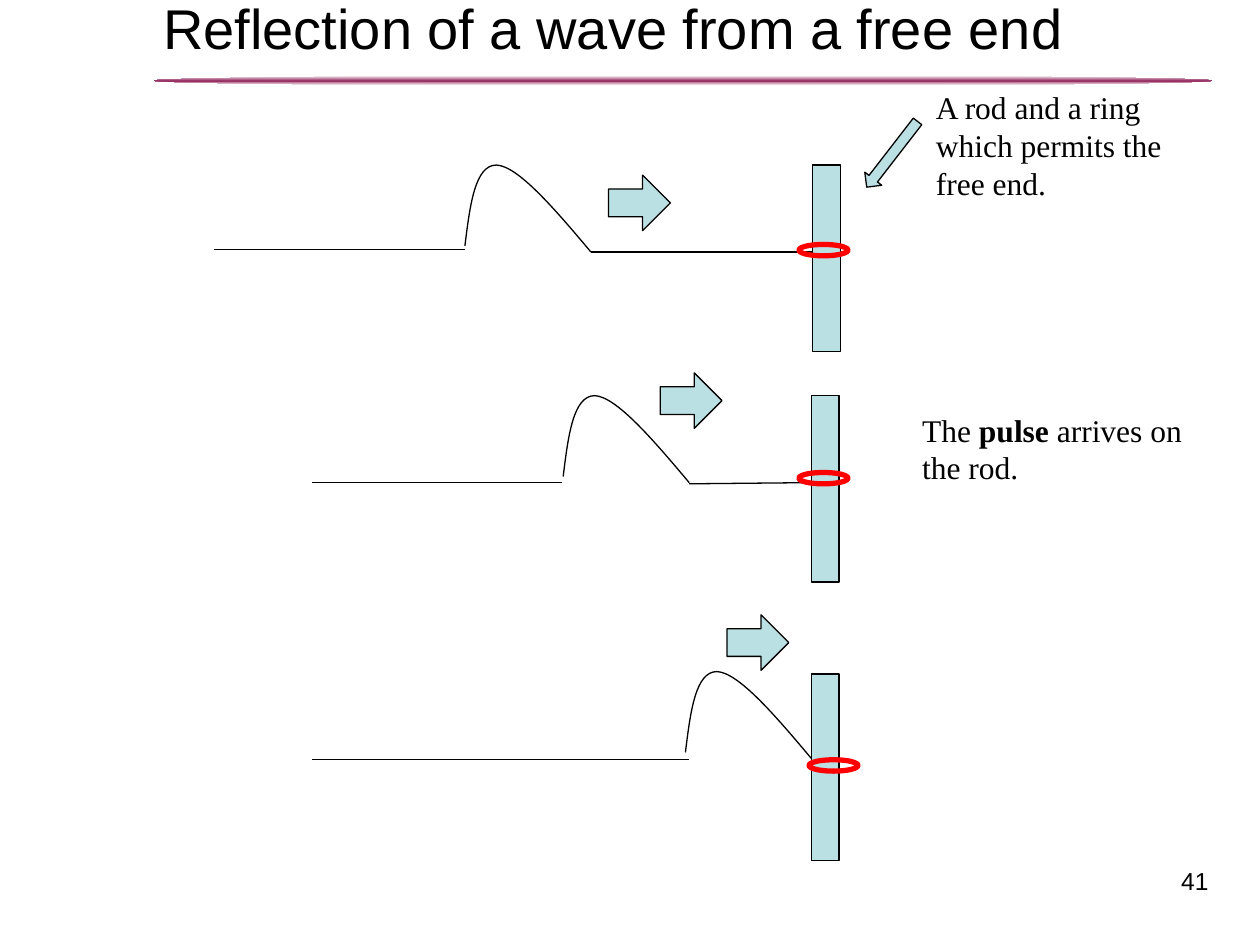
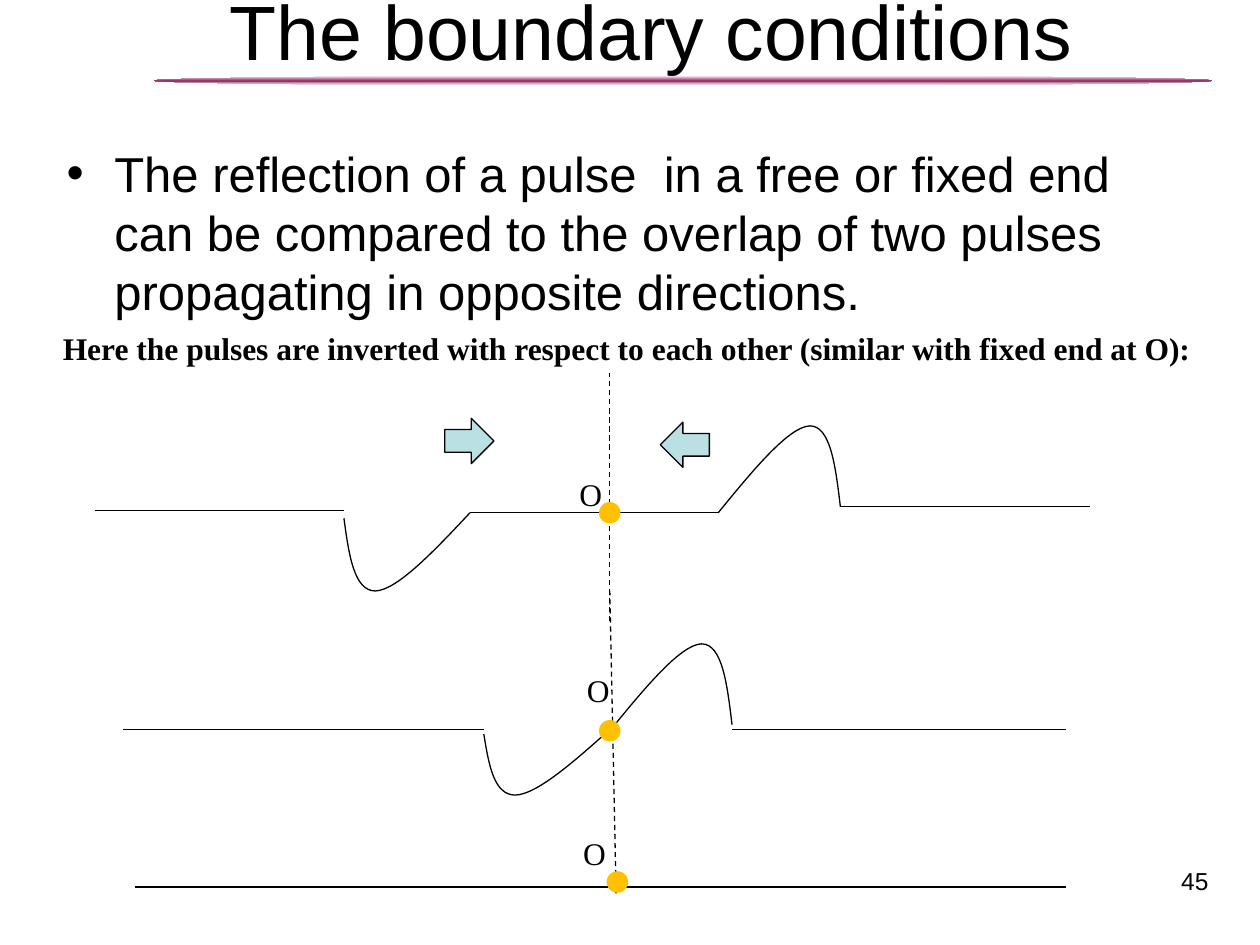
from copy import deepcopy
from pptx import Presentation
from pptx import util as u
from pptx.dml.color import RGBColor
from pptx.enum import dml, shapes, text
from pptx.oxml import ns
from lxml import etree

INK, BAND, PALE = "000000", "993366", "BBE0E3"
RED, GOLD, WHITE = "FF0000", "FFC000", "FFFFFF"
SANS, SERIF = "Arial", "Times New Roman"
KIND = shapes.MSO_SHAPE
ALIGN = text.PP_ALIGN
# Pulse in a unit box: a start, then three points for each Bezier arc
PULSE = [(0, 0.93), (0.04, 0.46), (0.08, 0), (0.25, 0),
         (0.42, 0.01), (0.71, 0.5), (1, 1)]


def rgb(code):
    return RGBColor.from_string(code)


def inches(*vals):
    return [u.Inches(v) for v in vals]


def paint(item, fill, line, width=0.75):
    item.shadow.inherit = False
    if fill:
        item.fill.solid()
        item.fill.fore_color.rgb = rgb(fill)
    else:
        item.fill.background()
    if line:
        item.line.color.rgb = rgb(line)
        item.line.width = u.Pt(width)
    else:
        item.line.fill.background()


def shape(slide, kind, box, fill=None, line=INK, width=0.75, turn=0):
    item = slide.shapes.add_shape(kind, *inches(*box))
    item.rotation = turn
    paint(item, fill, line, width)
    return item


def rule(slide, x1, y1, x2, y2, dash=False):
    item = slide.shapes.add_connector(
        shapes.MSO_CONNECTOR.STRAIGHT, *inches(x1, y1, x2, y2))
    item.line.color.rgb = rgb(INK)
    item.line.width = u.Pt(0.75)
    if dash:
        item.line.dash_style = dml.MSO_LINE.DASH
    etree.SubElement(item._element.spPr, ns.qn("a:effectLst"))


def words(slide, box, parts, size, font=SERIF, align=ALIGN.LEFT,
          wrap=True, bullet=False):
    """Write one paragraph; parts are (text, bold) pairs."""
    frame = slide.shapes.add_textbox(*inches(*box)).text_frame
    frame.word_wrap = wrap
    para = frame.paragraphs[0]
    para.alignment = align
    if bullet:
        props = para._p.get_or_add_pPr()
        props.set("marL", str(u.Inches(0.38)))
        props.set("indent", str(u.Inches(-0.38)))
        etree.SubElement(props, ns.qn("a:buFont")).set("typeface", font)
        etree.SubElement(props, ns.qn("a:buChar")).set("char", "•")
    for part, bold in parts:
        run = para.add_run()
        run.text = part
        run.font.name = font
        run.font.size = u.Pt(size)
        run.font.bold = bold
        run.font.color.rgb = rgb(INK)


def pulse(slide, x, y, w, h):
    """Draw a pulse from corner x, y; a negative w or h mirrors it."""
    spots = [tuple(inches(x + w * p, y + h * q)) for p, q in PULSE]
    pen = slide.shapes.build_freeform(*spots[0])
    pen.add_line_segments(spots[1:], close=False)
    item = pen.convert_to_shape()
    paint(item, None, INK)
    # Turn each three segments into one Bezier arc
    legs = item._element.spPr.findall(".//" + ns.qn("a:lnTo"))
    trail = legs[0].getparent()
    for i in range(0, len(legs), 3):
        arc = etree.SubElement(trail, ns.qn("a:cubicBezTo"))
        for leg in legs[i:i + 3]:
            arc.append(leg[0])
            trail.remove(leg)


def base(deck, title, box, size, number):
    """Add a slide with its band, page number and title."""
    slide = deck.slides.add_slide(deck.slide_layouts[6])
    band = shape(slide, KIND.OVAL, (1.22, 0.6, 8.4, 0.08), line=None)
    band.fill.gradient()
    band.fill.gradient_angle = 90
    stops = band._element.spPr.find(".//" + ns.qn("a:gsLst"))
    stops.insert(1, deepcopy(stops[0]))
    for i, (stop, code) in enumerate(
            zip(band.fill.gradient_stops, (WHITE, BAND, WHITE))):
        stop.position = i / 2
        stop.color.rgb = rgb(code)
    words(slide, (7.36, 6.82, 2.33, 0.45), [(number, False)], 14, SANS,
          ALIGN.RIGHT)
    words(slide, box, [(title, False)], size, SANS, ALIGN.CENTER)
    return slide


def stage(slide, top, crest, rest, ahead, rod, arrow, ring):
    """One moment of the pulse; rest and ahead are the flat strings."""
    if ahead:
        rule(slide, *ahead)
    shape(slide, KIND.RECTANGLE, (*rod, 0.22, 1.48), PALE)
    pulse(slide, crest, top, 1, 0.69)
    rule(slide, *rest)
    shape(slide, KIND.RIGHT_ARROW, (*arrow, 0.49, 0.44), PALE)
    shape(slide, KIND.OVAL, (*ring, 0.39, 0.09), None, RED, 3)


def free_end(deck):
    slide = base(deck, "Reflection of a wave from a free end",
                 (0.37, -0.1, 9, 1.25), 32, "41")
    stage(slide, 1.31, 3.69, (1.7, 1.98, 3.69, 1.98), (4.69, 2, 6.67, 2),
          (6.45, 1.31), (4.83, 1.39), (6.34, 1.94))
    stage(slide, 3.14, 4.47, (2.48, 3.83, 4.46, 3.83),
          (5.47, 3.84, 6.48, 3.83), (6.44, 3.14), (5.24, 2.96), (6.34, 3.75))
    stage(slide, 5.33, 5.44, (2.48, 6.03, 5.47, 6.03), None,
          (6.44, 5.35), (5.77, 4.88), (6.42, 6.03))
    # Notes beside the rods
    words(slide, (7.33, 0.65, 2, 1.01),
          [("A rod and a ring which permits the free end.", False)], 18)
    words(slide, (7.22, 3.21, 2.28, 0.71),
          [("The ", False), ("pulse", True),
           (" arrives on the rod.", False)], 18)
    shape(slide, KIND.RIGHT_ARROW, (6.75, 1.14, 0.66, 0.17), PALE, turn=127.7)


def bounds(deck):
    slide = base(deck, "The boundary conditions",
                 (0.67, -0.18, 9, 1.25), 44, "45")
    words(slide, (0.43, 1.09, 9, 4.95),
          [("The reflection of a pulse  in a free or fixed end can be "
            "compared to the overlap of two pulses propagating in "
            "opposite directions.", False)], 28, SANS, bullet=True)
    # Strings at rest
    for x1, x2, y in [(0.75, 2.73, 4.05), (3.73, 5.71, 4.07),
                      (6.67, 8.65, 4.02), (0.98, 3.84, 5.79),
                      (5.81, 8.46, 5.79), (1.07, 8.46, 7.04)]:
        rule(slide, x1, y, x2, y)
    # Axis through O
    rule(slide, 4.84, 4.93, 4.84, 2.96, True)
    rule(slide, 4.89, 7.09, 4.84, 4.69, True)
    # Inverted and mirrored pulses
    for box in [(2.73, 4.69, 1, -0.62), (6.67, 3.38, -0.97, 0.69),
                (3.84, 6.31, 1, -0.52), (5.81, 5.11, -0.97, 0.69)]:
        pulse(slide, *box)
    # Directions of travel
    for x, y, turn in [(3.53, 3.32, 0), (5.24, 3.35, 180)]:
        shape(slide, KIND.RIGHT_ARROW, (x, y, 0.39, 0.36), PALE, turn=turn)
    # Points O with their labels
    for x, y, left, top in [(4.76, 3.99, 4.5, 3.72), (4.76, 5.72, 4.56, 5.28),
                            (4.82, 6.92, 4.53, 6.57)]:
        shape(slide, KIND.OVAL, (x, y, 0.16, 0.16), GOLD, GOLD)
        words(slide, (left, top, 0.4, 0.4), [("O", False)], 18, wrap=False)
    words(slide, (0.4, 2.56, 9.31, 0.4),
          [("Here the pulses are inverted with respect to each other "
            "(similar with fixed end at O):", True)], 18, wrap=False)


def main():
    deck = Presentation()
    deck.slide_width, deck.slide_height = inches(10, 7.5)
    free_end(deck)
    bounds(deck)
    deck.save("out.pptx")


if __name__ == "__main__":
    main()
